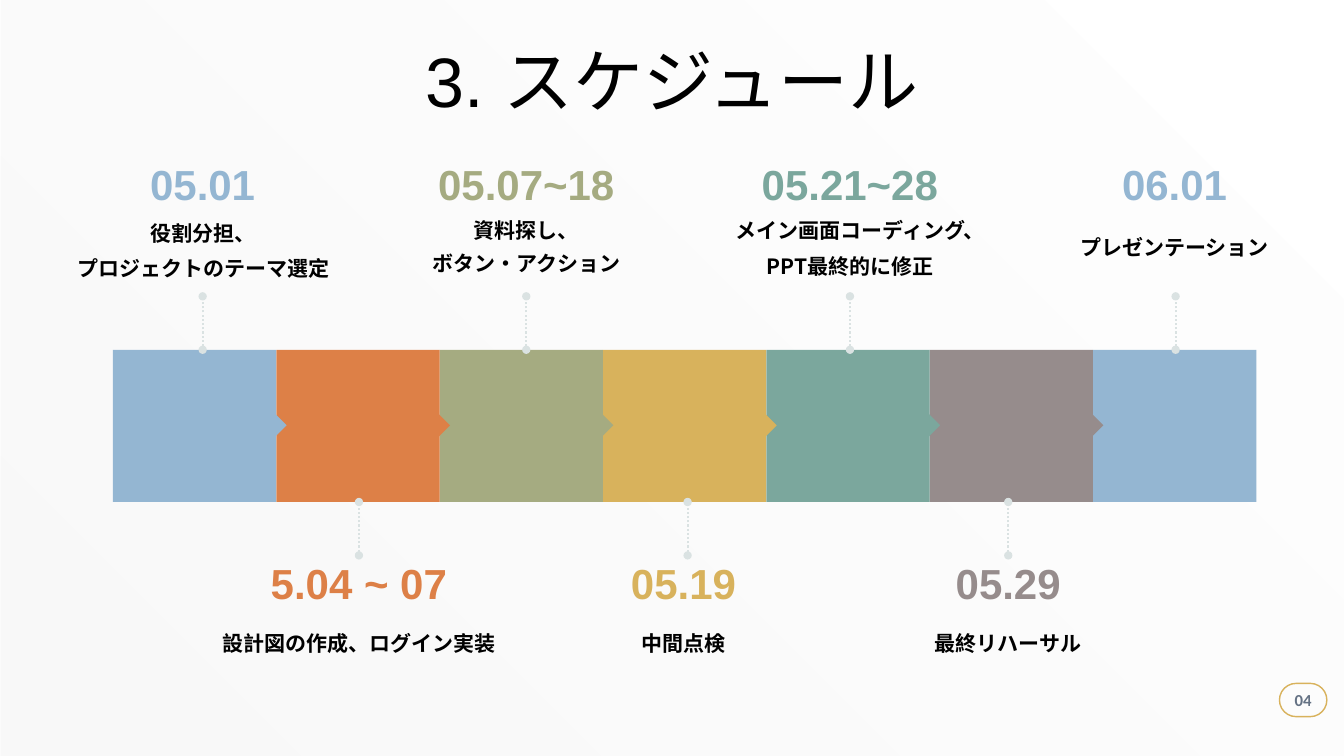
import pptx
import pptx.util
import pptx.dml.color
import pptx.enum.dml
import pptx.enum.shapes
import pptx.enum.text
import pptx.oxml
import pptx.oxml.ns
import lxml.etree

PX = 9144  # one hundred px to the inch
SLIDE_WIDTH, SLIDE_HEIGHT = 1333, 750
LATIN, JAPANESE, NUMBER = "Arial", "Noto Sans CJK JP", "Calibri"
COLOURS = {
    "blue": "94B6D2", "orange": "DD8047", "olive": "A5AB81", "gold": "D8B25C",
    "teal": "7BA79D", "taupe": "968C8C", "thread": "DAE2E2", "slate": "657284",
    "black": "000000", "white": "FFFFFF", "mist": "F2F2F2",
}
BAND = (112, 347, 1134, 151)
BLOCKS = ["blue", "orange", "olive", "gold", "teal", "taupe", "blue"]
# centre, thread x, caption width, caption top, line spacing, date, colour, caption
ABOVE = [
    (201, 201, 267, 212, 1.0, "05.01", "blue", "役割分担、\nプロジェクトのテーマ選定"),
    (522, 522, 258, 210, 0.9, "05.07~18", "olive", "資料探し、\nボタン・アクション"),
    (843, 843, 244, 210, 1.0, "05.21~28", "teal", "メイン画面コーディング、\nPPT最終的に修正"),
    (1165, 1166, 202, 210, 0.9, "06.01", "blue", "プレゼンテーション"),
]
BELOW = [
    (356, 356, 275, 603, 0.9, "5.04 ~ 07", "orange", "設計図の作成、ログイン実装"),
    (678, 682, 202, 603, 0.9, "05.19", "gold", "中間点検"),
    (1000, 1000, 202, 603, 0.9, "05.29", "taupe", "最終リハーサル"),
]


def emu(*lengths):
    return [pptx.util.Emu(length * PX) for length in lengths]


def rgb(name):
    return pptx.dml.color.RGBColor.from_string(COLOURS[name])


def write(shape, text, size, colour, font, bold=True, spacing=None, inset=0):
    frame = shape.text_frame
    frame.text = text
    frame.word_wrap = True
    frame.auto_size = pptx.enum.text.MSO_AUTO_SIZE.NONE
    frame.vertical_anchor = pptx.enum.text.MSO_ANCHOR.MIDDLE
    frame.margin_left, frame.margin_top, frame.margin_right, frame.margin_bottom = emu(*[inset] * 4)
    for index, para in enumerate(frame.paragraphs):
        para.alignment = pptx.enum.text.PP_ALIGN.CENTER
        para.line_spacing = spacing
        para.space_before = pptx.util.Pt(7.5 if index else 0)
        for span in para.runs:
            span.font.size = pptx.util.Pt(size)
            span.font.bold = bold
            span.font.color.rgb = rgb(colour)
            span.font.name = font
            east_asian = lxml.etree.SubElement(span.font._element, pptx.oxml.ns.qn("a:ea"))
            east_asian.set("typeface", JAPANESE)


def add_plain_shape(page, kind, box, fill=None):
    shape = page.shapes.add_shape(kind, *emu(*box))
    shape.shadow.inherit = False
    shape.line.fill.background()
    if fill:
        shape.fill.solid()
        shape.fill.fore_color.rgb = rgb(fill)
    else:
        shape.fill.background()
    return shape


def add_text(page, box, *style, **options):
    write(page.shapes.add_textbox(*emu(*box)), *style, **options)


def add_backdrop(page, box):
    backdrop = add_plain_shape(page, pptx.enum.shapes.MSO_SHAPE.RECTANGLE, box)
    backdrop.fill.gradient()
    backdrop.fill.gradient_angle = 225
    for stop, colour in zip(backdrop.fill.gradient_stops, ["white", "mist"]):
        stop.color.rgb = rgb(colour)
    # half transparent stops
    for tint in backdrop._element.spPr.iter(pptx.oxml.ns.qn("a:srgbClr")):
        lxml.etree.SubElement(tint, pptx.oxml.ns.qn("a:alpha")).set("val", "50000")


def add_band(page, box):
    left, top, width, height = box
    step = width // len(BLOCKS)
    notch = 26
    rectangle = pptx.enum.shapes.MSO_SHAPE.RECTANGLE
    # right to left, so that each pointer lies over the next block
    for index in reversed(range(len(BLOCKS))):
        block_left = left + index * step
        add_plain_shape(page, rectangle, (block_left, top, step, height), BLOCKS[index])
        if index < len(BLOCKS) - 1:
            pointer_box = (block_left + step - 21, top + (height - notch) // 2, notch, notch)
            add_plain_shape(page, rectangle, pointer_box, BLOCKS[index]).rotation = 45


def add_thread(page, x, start, end):
    thread = page.shapes.add_connector(
        pptx.enum.shapes.MSO_CONNECTOR.STRAIGHT, *emu(x, start, x, end))
    thread.line.color.rgb = rgb("thread")
    thread.line.width = pptx.util.Pt(1.5)
    thread.line.dash_style = pptx.enum.dml.MSO_LINE.ROUND_DOT
    outline = thread.line._get_or_add_ln()
    for tag in ("a:headEnd", "a:tailEnd"):
        lxml.etree.SubElement(outline, pptx.oxml.ns.qn(tag)).set("type", "oval")
    lxml.etree.SubElement(thread._element.spPr, pptx.oxml.ns.qn("a:effectLst"))


def add_milestones(page, milestones, date_top, thread_start, thread_end):
    for centre, thread_x, width, caption_top, spacing, date, colour, caption in milestones:
        add_text(page, (centre - width // 2, caption_top, width, 73),
                 caption, 15, "black", JAPANESE, spacing=spacing)
        add_text(page, (centre - 100, date_top, 200, 50), date, 30, colour, LATIN)
        add_thread(page, thread_x, thread_start, thread_end)


def add_title(page, box):
    title = page.shapes.title
    title.left, title.top, title.width, title.height = emu(*box)
    write(title, "3. スケジュール", 50, "black", LATIN, bold=False, inset=5)


def add_page_number(page, box):
    pill = add_plain_shape(page, pptx.enum.shapes.MSO_SHAPE.ROUNDED_RECTANGLE, box)
    pill.adjustments[0] = 0.5
    pill.line.color.rgb = rgb("gold")
    pill.line.width = pptx.util.Pt(1)
    write(pill, "04", 12, "slate", NUMBER)


def main():
    deck = pptx.Presentation()
    deck.slide_width, deck.slide_height = emu(SLIDE_WIDTH, SLIDE_HEIGHT)
    page = deck.slides.add_slide(deck.slide_layouts[5])
    add_backdrop(page, (1, 0, SLIDE_WIDTH - 1, SLIDE_HEIGHT))
    add_band(page, BAND)
    band_top, band_bottom = BAND[1], BAND[1] + BAND[3]
    add_milestones(page, ABOVE, 157, band_top, band_top - 53)
    add_milestones(page, BELOW, 553, band_bottom + 53, band_bottom)
    # the title goes in front of the backdrop
    page.shapes._spTree.append(page.shapes.title._element)
    add_title(page, (217, 19, 900, 120))
    add_page_number(page, (1269, 678, 47, 33))
    deck.save("out.pptx")


if __name__ == "__main__":
    main()
